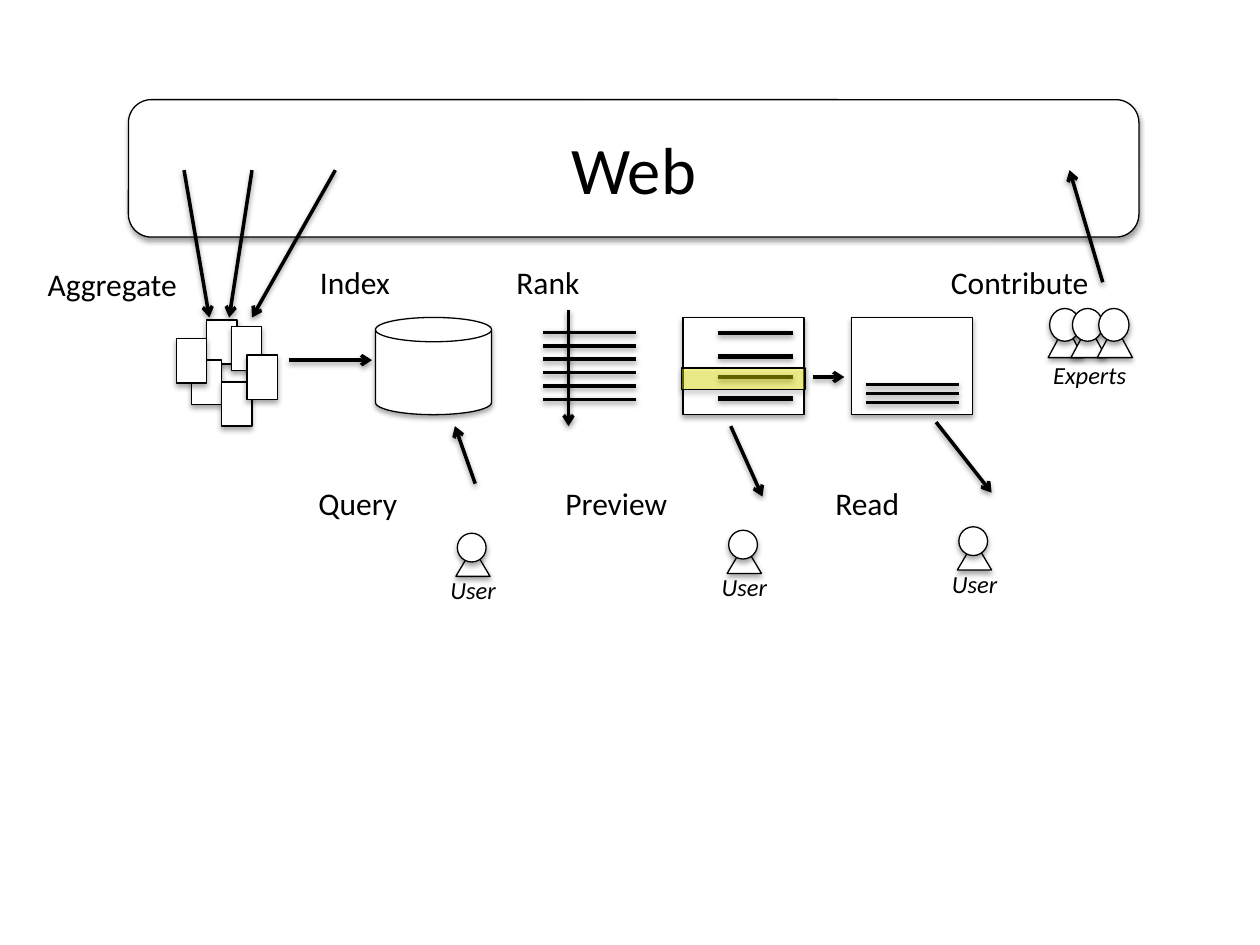
from lxml.etree import SubElement
from pptx import Presentation
from pptx.dml.color import RGBColor
from pptx.enum.shapes import MSO_CONNECTOR, MSO_SHAPE
from pptx.enum.text import MSO_ANCHOR, PP_ALIGN
from pptx.oxml.ns import qn
from pptx.util import Cm, Pt

COLORS = {"ink": "000000", "paper": "FFFFFF", "highlight": "FFFF00"}


class Diagram:
    """Draws the diagram's elements on one slide in a shared style."""

    font_name = "Calibri"

    def __init__(self, slide):
        self.slide = slide

    def color(self, name):
        return RGBColor.from_string(COLORS[name])

    def shadow(self, properties, distance, opacity):
        effects = properties.find(qn("a:effectLst"))
        if effects is None:
            effects = SubElement(properties, qn("a:effectLst"))
        outer = SubElement(effects, qn("a:outerShdw"), blurRad=str(Pt(3.1)),
                           dist=str(Pt(distance)), dir="5400000", rotWithShape="0")
        color = SubElement(outer, qn("a:srgbClr"), val=COLORS["ink"])
        SubElement(color, qn("a:alpha"), val=str(opacity * 1000))

    def set_text(self, frame, text, size, italic=False):
        paragraph = frame.paragraphs[0]
        paragraph.text = text
        paragraph.font.name = self.font_name
        paragraph.font.size = Pt(size)
        paragraph.font.italic = italic
        paragraph.font.color.rgb = self.color("ink")
        return paragraph

    def box(self, kind, left, top, width, height, fill="paper", opacity=100,
            shadow=(1.8, 35), parent=None):
        shapes = (parent or self.slide).shapes
        shape = shapes.add_shape(kind, Cm(left), Cm(top), Cm(width), Cm(height))
        shape.fill.solid()
        shape.fill.fore_color.rgb = self.color(fill)
        shape.line.color.rgb = self.color("ink")
        shape.line.width = Pt(0.75)
        shape.shadow.inherit = False
        self.shadow(shape.element.spPr, *shadow)
        if opacity < 100:
            color = shape.element.spPr.find(qn("a:solidFill")).find(qn("a:srgbClr"))
            SubElement(color, qn("a:alpha"), val=str(opacity * 1000))
        return shape

    def titled_box(self, text, left, top, width, height):
        shape = self.box(MSO_SHAPE.ROUNDED_RECTANGLE, left, top, width, height,
                         shadow=(1.6, 38))
        shape.text_frame.vertical_anchor = MSO_ANCHOR.MIDDLE
        self.set_text(shape.text_frame, text, 38).alignment = PP_ALIGN.CENTER

    def line(self, start_x, start_y, end_x, end_y, width=2.0, arrow=False):
        connector = self.slide.shapes.add_connector(
            MSO_CONNECTOR.STRAIGHT, Cm(start_x), Cm(start_y), Cm(end_x), Cm(end_y))
        connector.line.color.rgb = self.color("ink")
        connector.line.width = Pt(width)
        properties = connector.element.spPr
        if arrow:
            SubElement(properties.find(qn("a:ln")), qn("a:tailEnd"), type="arrow")
        self.shadow(properties, 1.6, 38)

    def label(self, text, left, top, width, height=1.02, size=18, italic=False):
        text_box = self.slide.shapes.add_textbox(Cm(left), Cm(top), Cm(width), Cm(height))
        text_box.text_frame.word_wrap = False
        self.set_text(text_box.text_frame, text, size, italic)

    def role(self, text, left, top, width):
        self.label(text, left, top, width, 0.86, 14, True)

    def person(self, left, top, body_width, head_width, height):
        group = self.slide.shapes.add_group_shape()
        self.box(MSO_SHAPE.ISOSCELES_TRIANGLE, left, top + height / 2,
                 body_width, height, parent=group)
        self.box(MSO_SHAPE.OVAL, left + 0.03, top, head_width, height, parent=group)


def main():
    presentation = Presentation()
    presentation.slide_width, presentation.slide_height = Cm(25.4), Cm(19.05)
    diagram = Diagram(presentation.slides.add_slide(presentation.slide_layouts[6]))

    diagram.titled_box("Web", 2.59, 2.01, 20.37, 2.77)
    diagram.box(MSO_SHAPE.CAN, 7.57, 6.4, 2.34, 1.96)
    for left in (13.77, 17.17):
        diagram.box(MSO_SHAPE.RECTANGLE, left, 6.4, 2.44, 1.96)
    for left, top in ((4.17, 6.45), (3.86, 7.26), (4.67, 6.58),
                      (4.47, 7.7), (3.56, 6.83), (4.98, 7.16)):
        diagram.box(MSO_SHAPE.RECTANGLE, left, top, 0.61, 0.89)

    for row in range(6):
        y = 6.7 + row * 0.27
        diagram.line(10.95, y, 12.83, y)
    for row in range(3):
        y = 7.75 + row * 0.18
        diagram.line(17.45, y, 19.33, y)
    for y in (6.71, 7.19, 7.6, 8.03):
        diagram.line(14.48, y, 15.98, y, width=2.5)
    diagram.box(MSO_SHAPE.RECTANGLE, 13.74, 7.42, 2.49, 0.43, "highlight", 38)

    for left in (21.13, 21.59, 22.12):
        diagram.person(left, 6.22, 0.71, 0.61, 0.66)
    diagram.role("Experts", 20.98, 7.14, 2.11)
    for left, top in ((9.19, 10.75), (14.66, 10.69), (19.3, 10.62)):
        diagram.person(left, top, 0.69, 0.58, 0.58)
        diagram.role("User", left - 0.36, top + 0.72, 1.55)

    for text, left, top, width in (
            ("Aggregate", 0.71, 5.21, 3.15), ("Index", 6.2, 5.18, 1.93),
            ("Rank", 10.16, 5.18, 1.8), ("Contribute", 18.92, 5.18, 3.3),
            ("Query", 6.17, 9.63, 2.11), ("Preview", 11.15, 9.63, 2.59),
            ("Read", 16.59, 9.63, 1.8)):
        diagram.label(text, left, top, width)

    for ends in ((3.71, 3.43, 4.22, 6.4), (5.08, 3.43, 4.62, 6.4),
                 (6.76, 3.43, 5.08, 6.4), (5.82, 7.26, 7.5, 7.26),
                 (22.23, 5.69, 21.56, 3.43), (14.73, 8.59, 15.37, 10.01),
                 (18.87, 8.51, 19.99, 9.93), (9.58, 9.75, 9.17, 8.59),
                 (11.46, 6.25, 11.46, 8.59), (16.38, 7.6, 17.02, 7.6)):
        diagram.line(*ends, arrow=True)

    presentation.save("out.pptx")


if __name__ == "__main__":
    main()
